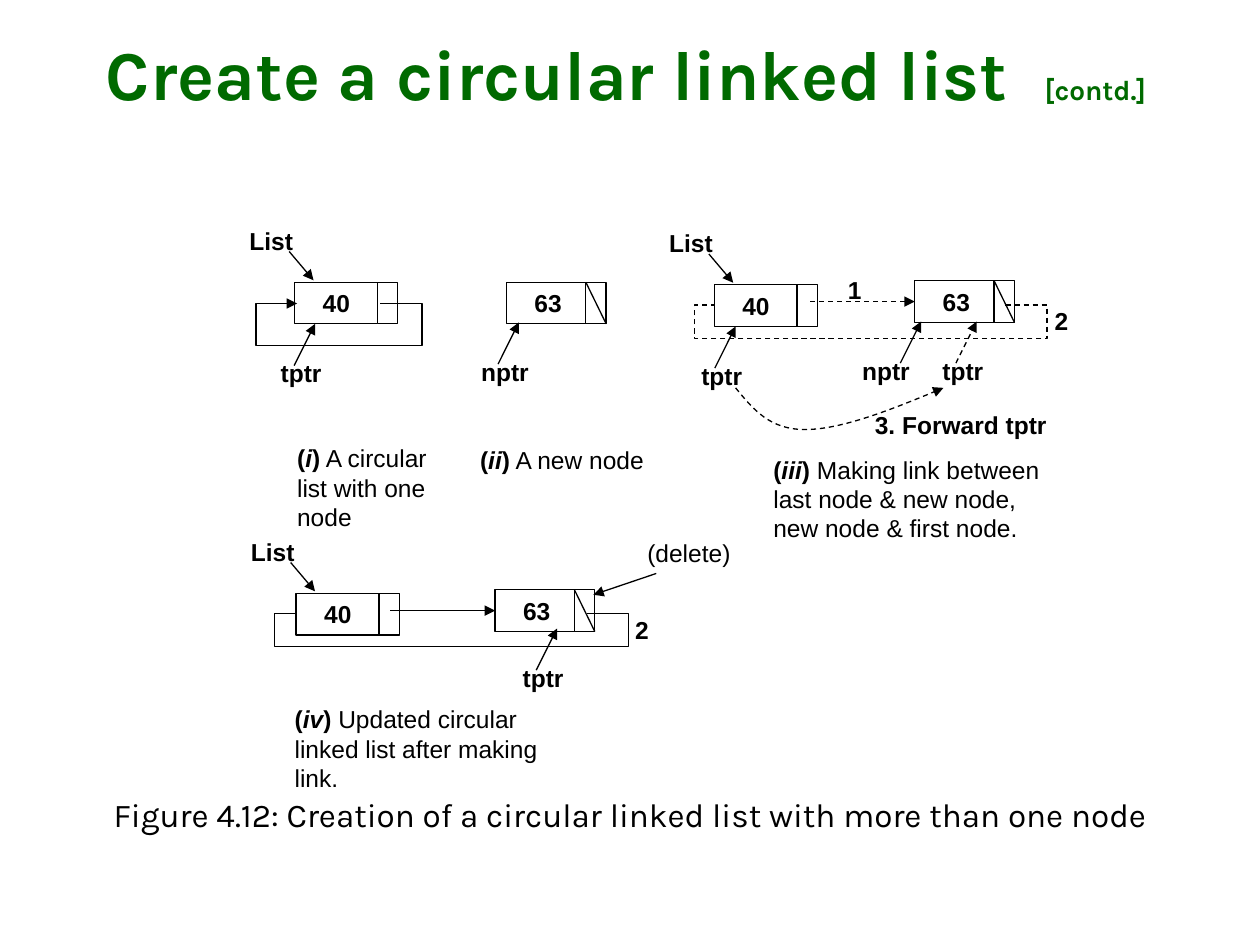
from lxml.etree import SubElement
from pptx import Presentation
from pptx.dml.color import RGBColor
from pptx.enum.dml import MSO_LINE
from pptx.enum.shapes import MSO_CONNECTOR, MSO_SHAPE
from pptx.enum.text import MSO_ANCHOR, PP_ALIGN
from pptx.oxml.ns import qn
from pptx.util import Cm, Pt

BLACK, WHITE, GREEN = "000000", "FFFFFF", "006A00"
CELL_HEIGHT, VALUE_WIDTH, LINK_WIDTH = 0.84, 1.68, 0.41


def color(value):
    return RGBColor.from_string(value)


def style_span(span, size=14, name="Arial", ink=BLACK, bold=False, italic=False):
    font = span.font
    font.size, font.name, font.bold, font.italic = Pt(size), name, bold, italic
    font.color.rgb = color(ink)


def style_line(line, dashed=False):
    line.color.rgb = color(BLACK)
    line.width = Pt(0.75)
    if dashed:
        line.dash_style = MSO_LINE.DASH


def add_arrowhead(shape):
    SubElement(shape.line._get_or_add_ln(), qn("a:tailEnd"), type="triangle")


def add_text(page, text, left, top, width, height=CELL_HEIGHT,
             align=PP_ALIGN.CENTER, **style):
    box = page.shapes.add_textbox(Cm(left), Cm(top), Cm(width), Cm(height))
    box.text_frame.word_wrap = True
    para = box.text_frame.paragraphs[0]
    para.text = text
    para.alignment = align
    for span in para.runs:
        style_span(span, **style)
    return box


def add_label(page, text, left, top, width=2.08):
    add_text(page, text, left, top, width, bold=True)


def add_caption(page, number, text, left, top, width, height, indented=True):
    """Panel caption: bold brackets round an italic number, then plain text."""
    align = PP_ALIGN.LEFT if indented else PP_ALIGN.CENTER
    box = add_text(page, "(", left, top, width, height, align, bold=True)
    para = box.text_frame.paragraphs[0]
    if indented:
        properties = para._p.get_or_add_pPr()
        properties.set("marL", str(Cm(1.27)))
        properties.set("indent", "0")
    for part, bold, italic in ((number, True, True), (")", True, False),
                               (" " + text, False, False)):
        span = para.add_run()
        span.text = part
        style_span(span, bold=bold, italic=italic)


def add_line(page, start, end, arrow=True, dashed=False):
    line = page.shapes.add_connector(
        MSO_CONNECTOR.STRAIGHT, *(Cm(value) for value in (*start, *end)))
    style_line(line.line, dashed)
    if arrow:
        add_arrowhead(line)
    SubElement(line._element.spPr, qn("a:effectLst"))
    return line


def add_cell(page, left, top, width):
    cell = page.shapes.add_shape(
        MSO_SHAPE.RECTANGLE, Cm(left), Cm(top), Cm(width), Cm(CELL_HEIGHT))
    cell.shadow.inherit = False
    cell.fill.solid()
    cell.fill.fore_color.rgb = color(WHITE)
    style_line(cell.line)
    return cell


def add_node(page, value, left, top, null=False):
    """List node: a value cell and a link cell, struck through when null."""
    cell = add_cell(page, left, top, VALUE_WIDTH)
    cell.text_frame.text = value
    cell.text_frame.vertical_anchor = MSO_ANCHOR.TOP
    para = cell.text_frame.paragraphs[0]
    para.alignment = PP_ALIGN.CENTER
    style_span(para.runs[0], bold=True)
    link = left + (1.6 if null else 1.67)
    add_cell(page, link, top, LINK_WIDTH)
    if null:
        add_line(page, (link, top), (link + LINK_WIDTH, top + CELL_HEIGHT), arrow=False)
    return cell


def add_first_node(page, left, top):
    """Node 40 with the List pointer above it."""
    add_node(page, "40", left, top)
    add_line(page, (left - 0.11, top - 0.62), (left + 0.38, top - 0.04))
    add_label(page, "List", left - 1.51, top - 1.26)


def add_pointer(page, name, x, y, shift=1.32, dashed=False):
    """Named pointer below a node, with its arrow tip at x, y."""
    add_line(page, (x - 0.42, y + 0.84), (x, y), dashed=dashed)
    add_label(page, name, x - shift, y + 0.57)


def add_next_link(page, start, node, node_top, dashed=False):
    middle = node_top + CELL_HEIGHT / 2
    line = add_line(page, (start, middle), (start + 2.1, middle), dashed=dashed)
    line.end_connect(node, 1)


def add_outline(page, points, arrow=False, dashed=False):
    first, *rest = [(Cm(x), Cm(y)) for x, y in points]
    builder = page.shapes.build_freeform(*first)
    builder.add_line_segments(rest, close=False)
    outline = builder.convert_to_shape()
    outline.shadow.inherit = False
    outline.fill.background()
    style_line(outline.line, dashed)
    if arrow:
        add_arrowhead(outline)
    return outline


def add_loop(page, start, end, left, right, top, bottom, **style):
    """Link from the last node back round to the first."""
    add_outline(page, [(start, top), (right, top), (right, bottom),
                       (left, bottom), (left, top), (end, top)], **style)


def add_curve(page, points):
    """Dashed Bezier arrow: a start, then two controls and an end per piece."""
    curve = add_outline(page, points, arrow=True, dashed=True)
    path = next(curve._element.iter(qn("a:path")))
    segments = path.findall(qn("a:lnTo"))
    for index in range(0, len(segments), 3):
        piece = SubElement(path, qn("a:cubicBezTo"))
        for segment in segments[index:index + 3]:
            piece.append(segment[0])
            path.remove(segment)


def add_title(page):
    box = add_text(page, "Create a circular linked list", 1.19, 0.2, 22.86, 2.54,
                   size=40, name="Karla", ink=GREEN, bold=True)
    box.text_frame.vertical_anchor = MSO_ANCHOR.MIDDLE
    para = box.text_frame.paragraphs[0]
    for text, size in ((" ", 40), ("[contd.]", 16)):
        span = para.add_run()
        span.text = text
        style_span(span, size, "Karla", GREEN, bold=True)
    # Widen the gap before the small text
    para.runs[1].font._element.set("spc", "1100")


def main():
    deck = Presentation()
    deck.slide_width, deck.slide_height = Cm(25.4), Cm(19.05)
    page = deck.slides.add_slide(deck.slide_layouts[6])

    add_title(page)
    add_text(page, "Figure 4.12: Creation of a circular linked list with more than one node",
             1.27, 15.88, 22.86, 1.47, size=19, name="Karla")

    # (i) One node pointing to itself
    add_first_node(page, 5.94, 5.69)
    add_loop(page, 7.67, 5.99, left=5.16, right=8.51, top=6.12, bottom=6.96, arrow=True)
    add_pointer(page, "tptr", 6.35, 6.53)
    add_caption(page, "i", "A circular list with one node", 4.47, 8.81, 4.6, 1.68)

    # (ii) The new node
    add_node(page, "63", 10.21, 5.69, null=True)
    add_pointer(page, "nptr", 10.46, 6.5)
    add_caption(page, "ii", "A new node", 8.61, 8.84, 5.44, CELL_HEIGHT, indented=False)

    # (iii) Linking the nodes
    add_first_node(page, 14.4, 5.74)
    new_node = add_node(page, "63", 18.44, 5.66, null=True)
    add_next_link(page, 16.33, new_node, 5.66, dashed=True)
    add_loop(page, 20.27, 14.4, left=14, right=21.11, top=6.15, bottom=6.83, dashed=True)
    add_pointer(page, "tptr", 14.83, 6.58)
    add_pointer(page, "nptr", 18.57, 6.48, shift=1.75)
    add_pointer(page, "tptr", 19.69, 6.48, dashed=True)
    add_curve(page, [(14.83, 7.82), (15.19, 8.26), (15.52, 8.66), (16.23, 8.66),
                     (16.92, 8.66), (17.98, 8.26), (19.02, 7.82)])
    add_label(page, "1", 16.61, 5.41, 1.24)
    add_label(page, "2", 20.78, 6.05, 1.24)
    add_label(page, "3. Forward tptr", 17.07, 8.15, 4.6)
    add_caption(page, "iii", "Making link between last node & new node, new node & first node.",
                14.07, 9.04, 7.54, 2.08)

    # (iv) The updated list
    add_first_node(page, 5.97, 11.96)
    last_node = add_node(page, "63", 9.98, 11.89, null=True)
    add_next_link(page, 7.87, last_node, 11.89)
    add_loop(page, 11.84, 5.97, left=5.54, right=12.67, top=12.37, bottom=13.03)
    add_pointer(page, "tptr", 11.23, 12.67)
    add_label(page, "2", 12.32, 12.27, 1.24)
    add_text(page, "(delete)", 12.8, 10.72, 2.51, 1.24, PP_ALIGN.LEFT)
    add_line(page, (13.23, 11.56), (11.96, 11.99))
    add_caption(page, "iv", "Updated circular linked list after making link.",
                4.42, 14.07, 7.54, 1.68)

    deck.save("out.pptx")


if __name__ == "__main__":
    main()
